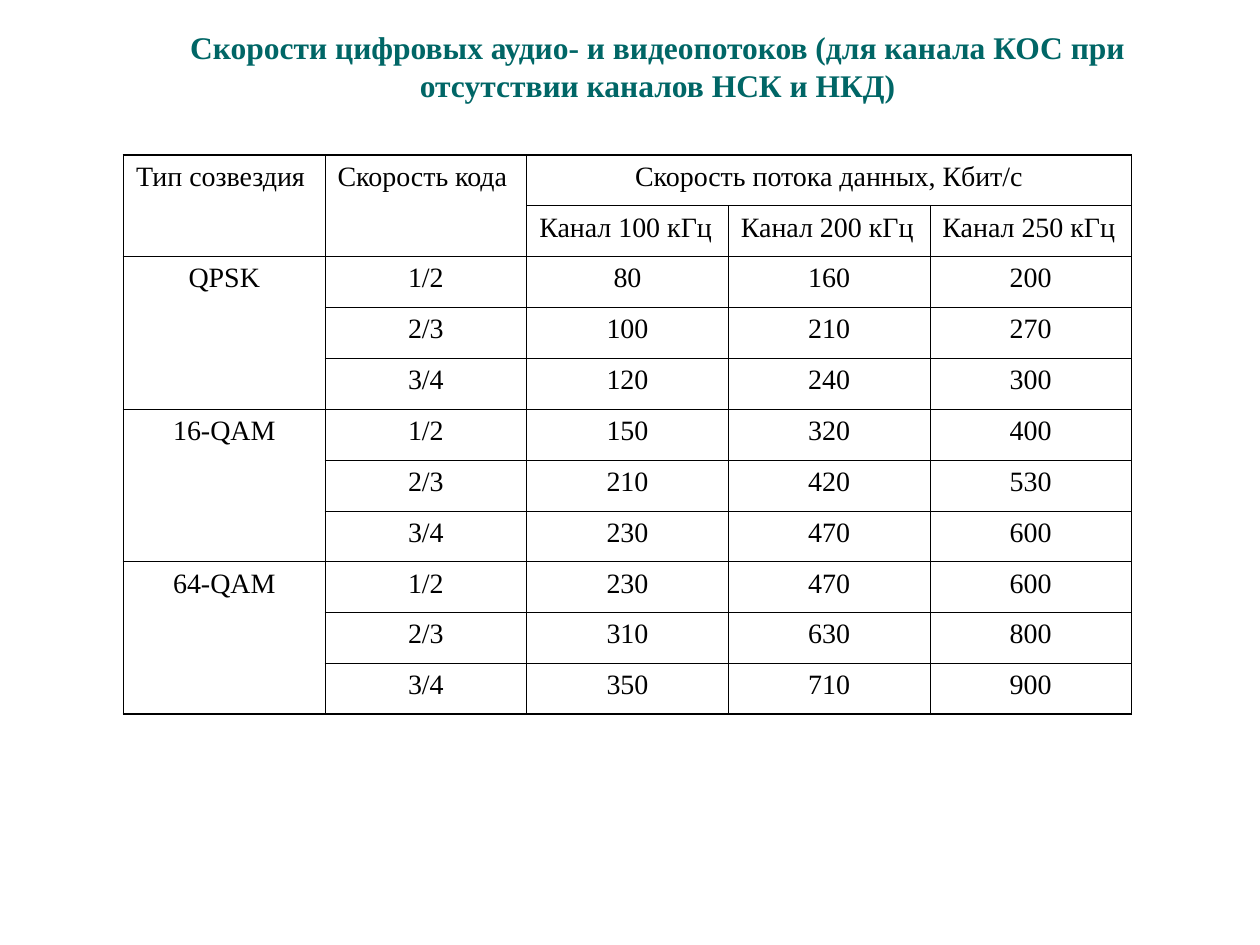
import lxml.etree
import pptx
import pptx.dml.color
import pptx.enum.text
import pptx.oxml.ns
import pptx.util

Inches, Pt = pptx.util.Inches, pptx.util.Pt
RGBColor = pptx.dml.color.RGBColor
Align = pptx.enum.text.PP_ALIGN
Anchor = pptx.enum.text.MSO_ANCHOR
qn = pptx.oxml.ns.qn

# Content
TITLE = "Скорости цифровых аудио- и видеопотоков (для канала КОС при отсутствии каналов НСК и НКД)"
HEADINGS = ["Тип созвездия", "Скорость кода"]
RATE_HEADING = "Скорость потока данных, Кбит/с"
CHANNELS = ["Канал 100 кГц", "Канал 200 кГц", "Канал 250 кГц"]
CODE_RATES = ["1/2", "2/3", "3/4"]
DATA_RATES = {
    "QPSK": [(80, 160, 200), (100, 210, 270), (120, 240, 300)],
    "16-QAM": [(150, 320, 400), (210, 420, 530), (230, 470, 600)],
    "64-QAM": [(230, 470, 600), (310, 630, 800), (350, 710, 900)],
}

THEME = {
    "title": {"name": "Times New Roman", "size": Pt(18), "bold": True, "color": "006666"},
    "table": {"name": "Times New Roman", "size": Pt(16), "bold": False, "color": "000000"},
    "border": "000000",
    "outer": Pt(1.08),
    "inner": Pt(0.45),
}
TITLE_BOX = (1.22, 0.36, 8, 0.51)
TABLE_BOX = (0.98, 1.23, 8, 4.44)
HEADER_ROWS = 2


def write(frame, text, style, alignment):
    paragraph = frame.paragraphs[0]
    paragraph.alignment = alignment
    run = paragraph.add_run()
    run.text = text
    for name, value in style.items():
        if name == "color":
            run.font.color.rgb = RGBColor.from_string(value)
        else:
            setattr(run.font, name, value)


def set_borders(cell, widths):
    properties = cell._tc.get_or_add_tcPr()
    for tag, width in widths.items():
        line = lxml.etree.SubElement(properties, qn(tag), w=str(int(width)))
        fill = lxml.etree.SubElement(line, qn("a:solidFill"))
        lxml.etree.SubElement(fill, qn("a:srgbClr"), val=THEME["border"])


def table_blocks():
    """List (row, column, row span, column span, text, alignment)."""
    first_channel = len(HEADINGS)
    blocks = [(0, column, HEADER_ROWS, 1, text, Align.LEFT)
              for column, text in enumerate(HEADINGS)]
    blocks.append((0, first_channel, 1, len(CHANNELS), RATE_HEADING, Align.CENTER))
    blocks += [(1, column, 1, 1, text, Align.LEFT)
               for column, text in enumerate(CHANNELS, first_channel)]
    for group, (constellation, rates) in enumerate(DATA_RATES.items()):
        top = HEADER_ROWS + group * len(CODE_RATES)
        blocks.append((top, 0, len(CODE_RATES), 1, constellation, Align.CENTER))
        for row, (code_rate, values) in enumerate(zip(CODE_RATES, rates), top):
            blocks += [(row, column, 1, 1, str(value), Align.CENTER)
                       for column, value in enumerate((code_rate, *values), 1)]
    return blocks


def add_title(slide):
    shape = slide.shapes.add_textbox(*map(Inches, TITLE_BOX))
    shape.text_frame.word_wrap = True
    shape.text_frame.vertical_anchor = Anchor.BOTTOM
    write(shape.text_frame, TITLE, THEME["title"], Align.CENTER)


def add_rate_table(slide):
    row_count = HEADER_ROWS + len(DATA_RATES) * len(CODE_RATES)
    column_count = len(HEADINGS) + len(CHANNELS)
    table = slide.shapes.add_table(row_count, column_count, *map(Inches, TABLE_BOX)).table
    table.first_row = table.horz_banding = False

    for top, left, height, width, text, alignment in table_blocks():
        bottom, right = top + height, left + width
        on_edge = {"a:lnL": left == 0, "a:lnR": right == column_count,
                   "a:lnT": top == 0, "a:lnB": bottom == row_count}
        widths = {tag: THEME["outer" if edge else "inner"] for tag, edge in on_edge.items()}
        for row in range(top, bottom):
            for column in range(left, right):
                cell = table.cell(row, column)
                set_borders(cell, widths)
                cell.fill.background()
        origin = table.cell(top, left)
        if height * width > 1:
            origin.merge(table.cell(bottom - 1, right - 1))
        write(origin.text_frame, text, THEME["table"], alignment)


def main():
    presentation = pptx.Presentation()
    presentation.slide_width, presentation.slide_height = Inches(10), Inches(7.5)
    slide = presentation.slides.add_slide(presentation.slide_layouts[6])
    add_title(slide)
    add_rate_table(slide)
    presentation.save("out.pptx")


if __name__ == "__main__":
    main()
